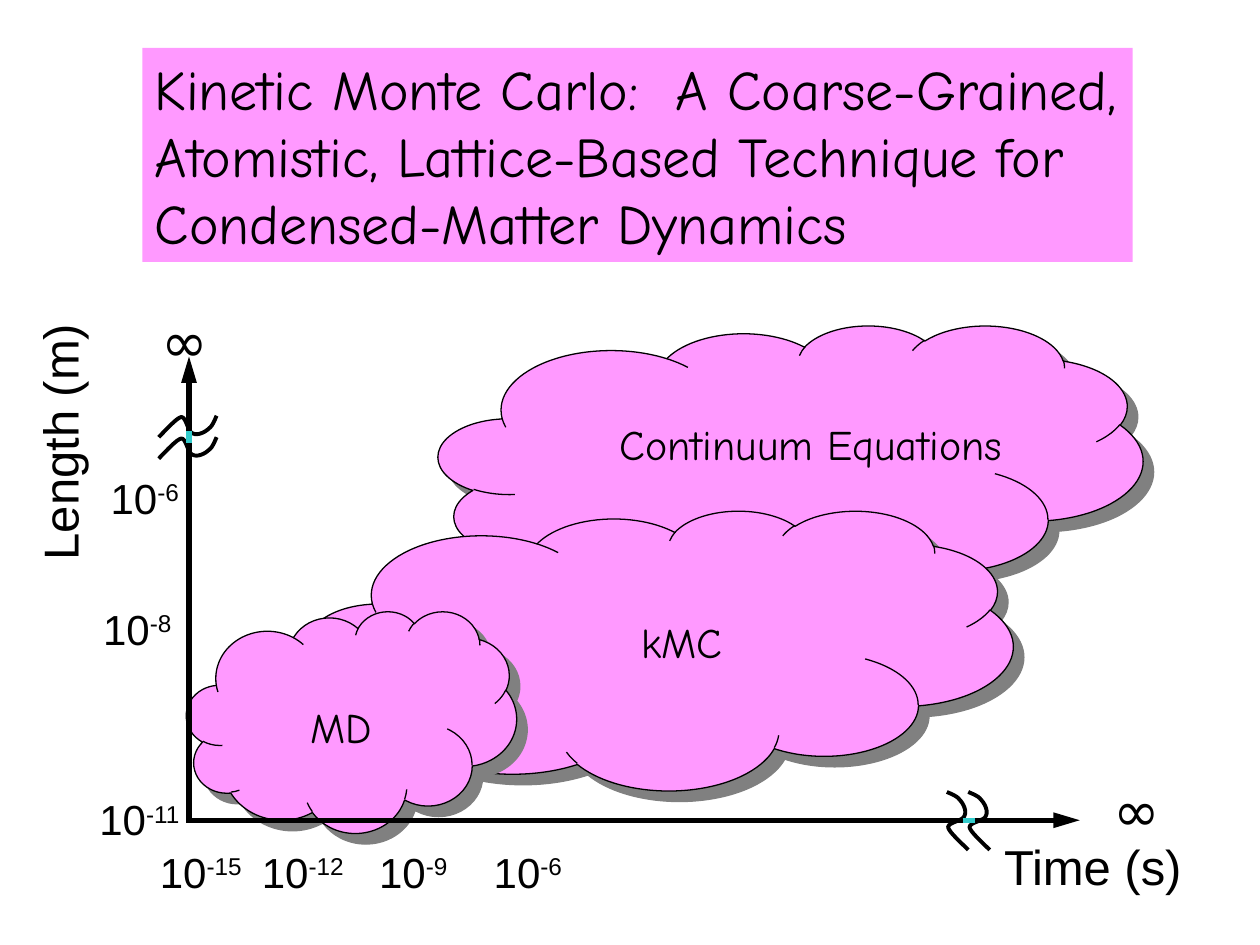
"""Build a slide placing simulation methods on length and time scales."""
from dataclasses import dataclass
from typing import NamedTuple

from lxml.etree import SubElement
from pptx import Presentation
from pptx.dml.color import RGBColor
from pptx.enum.shapes import MSO_CONNECTOR, MSO_SHAPE
from pptx.enum.text import MSO_ANCHOR, MSO_AUTO_SIZE, PP_ALIGN
from pptx.oxml.ns import qn
from pptx.util import Inches, Pt


@dataclass(frozen=True)
class Theme:
    pink: RGBColor = RGBColor(0xFF, 0x99, 0xFF)
    ink: RGBColor = RGBColor(0, 0, 0)
    teal: RGBColor = RGBColor(0x33, 0xCC, 0xCC)
    shadow: str = "808080"
    hand: str = "Comic Neue"
    sans: str = "Arial"
    title: int = 32
    axis: int = 28
    label: int = 24
    outline: float = 0.75
    wave: float = 2.25
    rule: float = 3


class Box(NamedTuple):
    x: float
    y: float
    w: float
    h: float


class Label(NamedTuple):
    box: Box
    text: str
    font: str
    size: int
    rotation: int = 0
    align: PP_ALIGN = PP_ALIGN.LEFT


class Ticks(NamedTuple):
    box: Box
    powers: tuple
    stops: tuple = ()


class Break(NamedTuple):
    waves: tuple
    gap: tuple
    rotation: int


T = Theme()
TITLE_BOX = Box(1.13, 0.38, 7.86, 1.7)
TITLE = (
    "Kinetic Monte Carlo:  A Coarse-Grained,",
    "Atomistic, Lattice-Based Technique for",
    "Condensed-Matter Dynamics",
)
CLOUDS = (
    Box(3.48, 2.58, 5.59, 2.22),
    Box(2.45, 4.05, 5.59, 2.22),
    Box(1.48, 4.85, 2.62, 1.76),
)
AXES = ((1.5, 2.83, 1.5, 6.5), (8.57, 6.51, 1.48, 6.51))
BREAKS = (
    Break(((1.26, 3.3), (1.26, 3.47)), (1.5, 3.42, 1.5, 3.52), 0),
    Break(((7.37, 6.43), (7.54, 6.43)), (7.64, 6.51, 7.74, 6.51), 270),
)
WAVE = (
    ((0, 0.17), (0.07, 0.1), (0.14, 0.02), (0.18, 0.01)),
    ((0.18, 0.01), (0.22, 0.01), (0.23, 0.13), (0.27, 0.14)),
    ((0.27, 0.14), (0.31, 0.16), (0.37, 0.13), (0.4, 0.1)),
    ((0.4, 0.1), (0.43, 0.08), (0.45, 0.02), (0.46, 0)),
)
LABELS = (
    Label(Box(1.18, 2.38, 0.64, 0.64), "∞", T.hand, T.title),
    Label(Box(8.74, 6.11, 0.64, 0.64), "∞", T.hand, T.title),
    Label(Box(4.82, 3.27, 3.3, 0.5), "Continuum Equations", T.hand, T.label),
    Label(Box(4.99, 4.84, 0.9, 0.5), "kMC", T.hand, T.label),
    Label(Box(2.36, 5.52, 0.69, 0.5), "MD", T.hand, T.label, 0, PP_ALIGN.CENTER),
    Label(Box(7.87, 6.59, 1.62, 0.57), "Time (s)", T.sans, T.axis),
    Label(Box(-0.57, 3.22, 2.08, 0.57), "Length (m)", T.sans, T.axis, 270),
)
TICKS = (
    Ticks(Box(1.17, 6.67, 4.5, 0.5), (-15, -12, -9, -6), (0.81, 1.74, 2.65)),
    Ticks(Box(0.78, 3.7, 0.74, 0.5), (-6,)),
    Ticks(Box(0.72, 4.74, 0.74, 0.5), (-8,)),
    Ticks(Box(0.69, 6.25, 0.85, 0.5), (-11,)),
)


def emu(values: tuple) -> list:
    return [Inches(v) for v in values]


def apply_format(obj, values: dict) -> None:
    for name, value in values.items():
        setattr(obj, name, value)


def style_text(p, font: str, size: int) -> None:
    apply_format(p.font, {"name": font, "size": Pt(size)})
    p.font.color.rgb = T.ink


def set_frame(tf) -> None:
    apply_format(tf, {
        "word_wrap": False,
        "auto_size": MSO_AUTO_SIZE.SHAPE_TO_FIT_TEXT,
        "vertical_anchor": MSO_ANCHOR.TOP,
    })


def set_line(sp, color: RGBColor, width: float) -> None:
    sp.line.color.rgb = color
    sp.line.width = Pt(width)


def add_title(s) -> None:
    sp = s.shapes.add_shape(MSO_SHAPE.RECTANGLE, *emu(TITLE_BOX))
    sp.shadow.inherit = False
    sp.fill.solid()
    sp.fill.fore_color.rgb = T.pink
    sp.line.fill.background()
    tf = sp.text_frame
    set_frame(tf)
    for i, text in enumerate(TITLE):
        p = tf.add_paragraph() if i else tf.paragraphs[0]
        p.alignment = PP_ALIGN.LEFT
        p.add_run().text = text
        style_text(p, T.hand, T.title)


def add_cloud(s, box: Box) -> None:
    sp = s.shapes.add_shape(MSO_SHAPE.CLOUD, *emu(box))
    sp.shadow.inherit = False
    sp.fill.solid()
    sp.fill.fore_color.rgb = T.pink
    set_line(sp, T.ink, T.outline)
    effects = sp._element.spPr.find(qn("a:effectLst"))
    outer = SubElement(effects, qn("a:outerShdw"), dist=str(Pt(8.5)),
                       dir="2700000", algn="ctr", rotWithShape="0")
    SubElement(outer, qn("a:srgbClr"), val=T.shadow)


def add_line(shapes, ends: tuple, color: RGBColor, arrow: bool = False) -> None:
    sp = shapes.add_connector(MSO_CONNECTOR.STRAIGHT, *emu(ends))
    set_line(sp, color, T.rule)
    if arrow:
        SubElement(sp.line._get_or_add_ln(), qn("a:headEnd"),
                   type="triangle", w="med", len="lg")
    SubElement(sp._element.spPr, qn("a:effectLst"))


def bezier(curve: tuple, t: float) -> tuple:
    weights = ((1 - t) ** 3, 3 * t * (1 - t) ** 2, 3 * t * t * (1 - t), t ** 3)
    return tuple(sum(w * pt[k] for w, pt in zip(weights, curve)) for k in (0, 1))


def add_wave(shapes, x: float, y: float, rotation: int, steps: int = 8) -> None:
    pts = [WAVE[0][0]]
    pts += [bezier(c, i / steps) for c in WAVE for i in range(1, steps + 1)]
    start, *rest = [(Inches(x + dx), Inches(y + dy)) for dx, dy in pts]
    builder = shapes.build_freeform(*start)
    builder.add_line_segments(rest, close=False)
    sp = builder.convert_to_shape()
    sp.shadow.inherit = False
    sp.fill.background()
    set_line(sp, T.ink, T.wave)
    sp.rotation = rotation


def add_break(s, item: Break) -> None:
    group = s.shapes.add_group_shape()
    for x, y in item.waves:
        add_wave(group.shapes, x, y, item.rotation)
    add_line(group.shapes, item.gap, T.teal)


def add_label(s, label: Label) -> None:
    sp = s.shapes.add_textbox(*emu(label.box))
    sp.rotation = label.rotation
    set_frame(sp.text_frame)
    p = sp.text_frame.paragraphs[0]
    p.alignment = label.align
    p.add_run().text = label.text
    style_text(p, label.font, label.size)


def add_ticks(s, ticks: Ticks) -> None:
    sp = s.shapes.add_textbox(*emu(ticks.box))
    set_frame(sp.text_frame)
    p = sp.text_frame.paragraphs[0]
    if ticks.stops:
        tabs = SubElement(p._p.get_or_add_pPr(), qn("a:tabLst"))
        for stop in ticks.stops:
            SubElement(tabs, qn("a:tab"), pos=str(Inches(stop)), algn="l")
    for i, power in enumerate(ticks.powers):
        p.add_run().text = "\t10" if i else "10"
        r = p.add_run()
        r.text = str(power)
        r._r.get_or_add_rPr().set("baseline", "30000")
    style_text(p, T.sans, T.label)


def main() -> None:
    prs = Presentation()
    apply_format(prs, {"slide_width": Inches(10), "slide_height": Inches(7.5)})
    s = prs.slides.add_slide(prs.slide_layouts[6])
    for box in CLOUDS:
        add_cloud(s, box)
    add_title(s)
    for ends in AXES:
        add_line(s.shapes, ends, T.ink, arrow=True)
    for draw, items in ((add_break, BREAKS), (add_label, LABELS), (add_ticks, TICKS)):
        for item in items:
            draw(s, item)
    prs.save("out.pptx")


if __name__ == "__main__":
    main()
